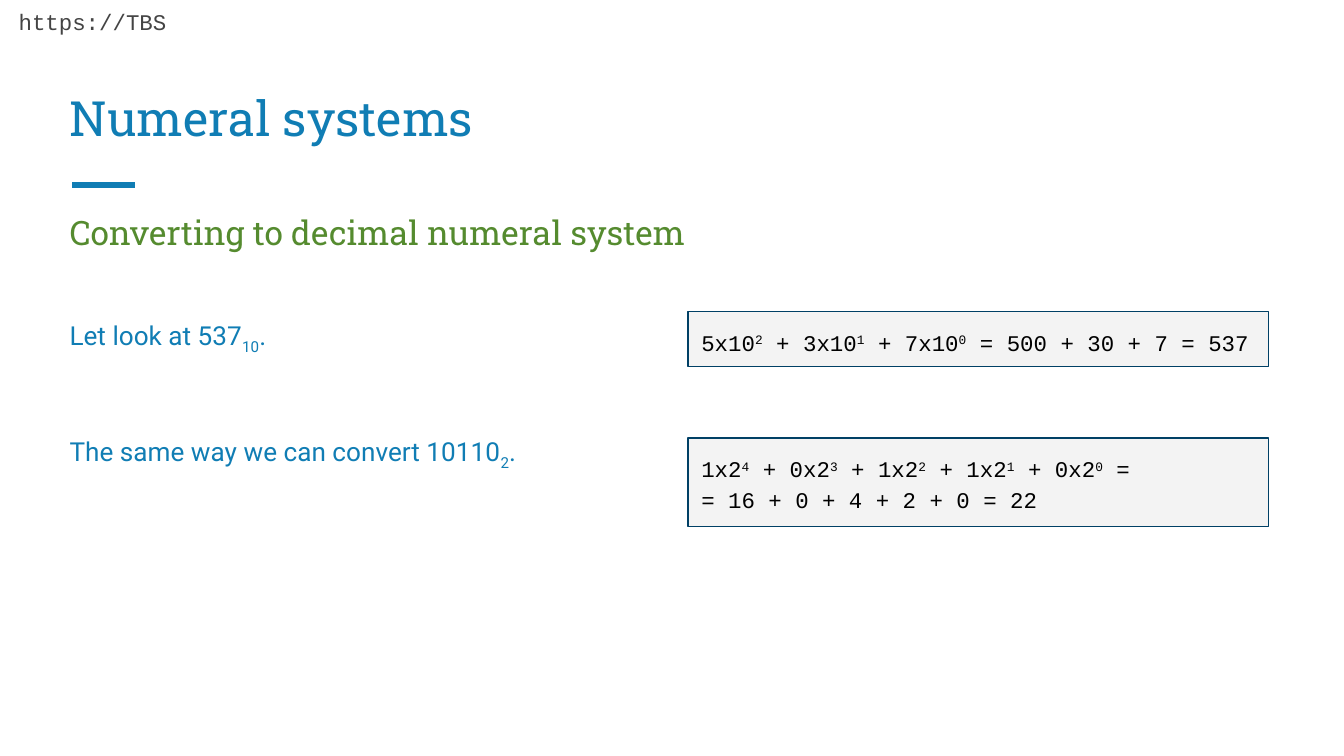
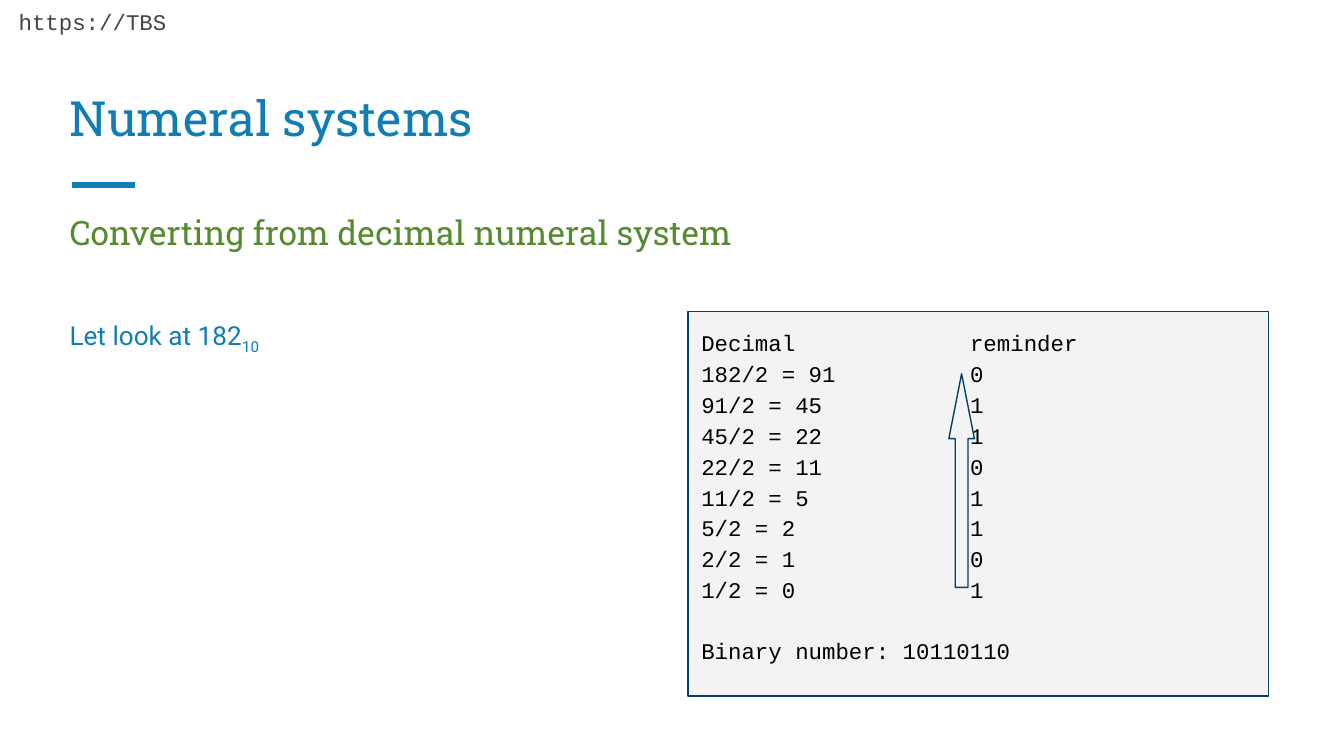
import pptx
import pptx.util
import pptx.dml.color
import pptx.enum.shapes
import pptx.enum.text
import pptx.oxml.ns
import lxml.etree

Pt = pptx.util.Pt
SHAPES = pptx.enum.shapes.MSO_SHAPE
ANCHOR = pptx.enum.text.MSO_ANCHOR
ALIGN = pptx.enum.text.PP_ALIGN
HUES = {
    "blue": "107DB4",
    "green": "558B2F",
    "gray": "444444",
    "black": "000000",
    "panel": "F3F3F3",
    "edge": "004065",
}
SLAB, SANS, MONO = "Roboto Slab", "Roboto", "Courier New"
SUPER, SUB = 30, -25
HEAD = (30.2, 31.7, 659, 213)
BODY = (30.2, 161.3, 316, 211.7)
LEFT, WIDTH = 368.6, 311
SUM_ONE = (LEFT, 167, WIDTH, 29.5)
SUM_TWO = (LEFT, 234.7, WIDTH, 47.5)
TALLY = (LEFT, 167, WIDTH, 206)


def hue(name):
    """Return the named colour."""
    return pptx.dml.color.RGBColor.from_string(HUES[name])


def add_tab(para, stop):
    """Set one left tab stop on a paragraph."""
    props = para._p.get_or_add_pPr()
    tabs = lxml.etree.SubElement(props, pptx.oxml.ns.qn("a:tabLst"))
    lxml.etree.SubElement(tabs, pptx.oxml.ns.qn("a:tab"), pos=str(Pt(stop)), algn="l")


def write(shape, lines, font=MONO, size=12, color="black", shift=SUPER,
          space=1.0, gap=0, tab=None, anchor=ANCHOR.TOP):
    """Fill a shape with lines; bars enclose shifted parts, gap precedes the last line."""
    frame = shape.text_frame
    frame.word_wrap = True
    frame.vertical_anchor = anchor
    frame.margin_left = frame.margin_right = Pt(7.2)
    frame.margin_top = frame.margin_bottom = Pt(7.2)
    for row, line in enumerate(lines):
        para = frame.add_paragraph() if row else frame.paragraphs[0]
        para.alignment = ALIGN.LEFT
        para.line_spacing = space
        if gap and row == len(lines) - 1:
            para.space_before = Pt(gap)
        if tab:
            add_tab(para, tab)
        for part, text in enumerate(line.split("|")):
            if not text:
                continue
            run = para.add_run()
            run.text = text
            run.font.name = font
            run.font.size = Pt(size)
            run.font.color.rgb = hue(color)
            if part % 2:
                run.font._element.set("baseline", str(shift * 1000))


def add_text(slide, box, lines, **style):
    """Add a text box with formatted lines."""
    write(slide.shapes.add_textbox(*map(Pt, box)), lines, **style)


def add_form(slide, kind, box):
    """Add a pale shape with a dark edge."""
    form = slide.shapes.add_shape(kind, *map(Pt, box))
    form.shadow.inherit = False
    form.fill.solid()
    form.fill.fore_color.rgb = hue("panel")
    form.line.color.rgb = hue("edge")
    form.line.width = Pt(0.75)
    return form


def add_rule(slide, left, top, width):
    """Add the thick blue rule below the title."""
    rule = slide.shapes.add_connector(
        pptx.enum.shapes.MSO_CONNECTOR.STRAIGHT,
        Pt(left), Pt(top), Pt(left + width), Pt(top))
    rule.line.color.rgb = hue("blue")
    rule.line.width = Pt(3)
    props = rule._element.spPr
    lxml.etree.SubElement(props, pptx.oxml.ns.qn("a:effectLst"))


def add_head(slide, box, topic):
    """Add the address, title, rule and topic line."""
    left, top, width, _ = box
    add_text(slide, (left - 27.3, top - 34.6, 219, 27.4), ["https://TBS"], color="gray")
    add_rule(slide, left + 8.5, top + 67.5, 33.5)
    add_text(slide, (left, top, width, 54), ["Numeral systems"],
             font=SLAB, size=26, color="blue", anchor=ANCHOR.BOTTOM)
    add_text(slide, (left, top + 74.9, width, 36), [topic],
             font=SLAB, size=18, color="green")


def add_body(slide, box, lines):
    """Add the blue text on the left."""
    add_text(slide, box, lines, font=SANS, size=14, color="blue",
             shift=SUB, space=1.15, gap=40 if len(lines) > 1 else 0)


def add_panel(slide, box, lines, **style):
    """Add a framed panel of code text."""
    write(add_form(slide, SHAPES.RECTANGLE, box), lines, space=1.15, **style)


def add_tally(slide, box, number):
    """Add the halving steps of a number, with an arrow up the digits."""
    lines, bits = ["Decimal\treminder"], ""
    while number:
        half, bit = divmod(number, 2)
        lines.append(f"{number}/2 = {half}\t{bit}")
        bits = str(bit) + bits
        number = half
    lines.append(f"Binary number: {bits}")
    add_panel(slide, box, lines, gap=16, tab=144)
    left, top, _, _ = box
    arrow = add_form(slide, SHAPES.RIGHT_ARROW, (left + 89.3, top + 83.6, 114.5, 13.7))
    arrow.adjustments[0] = 0.5
    arrow.adjustments[1] = 2.54
    arrow.rotation = 270


def to_slide(slide):
    """Build the slide on converting to decimal."""
    add_head(slide, HEAD, "Converting to decimal numeral system")
    add_body(slide, BODY, ["Let look at 537|10|.",
                           "The same way we can convert 10110|2|."])
    add_panel(slide, SUM_ONE, ["5x10|2| + 3x10|1| + 7x10|0| = 500 + 30 + 7 = 537"])
    add_panel(slide, SUM_TWO, ["1x2|4| + 0x2|3| + 1x2|2| + 1x2|1| + 0x2|0| =",
                               "= 16 + 0 + 4 + 2 + 0 = 22"])


def from_slide(slide):
    """Build the slide on converting from decimal."""
    add_head(slide, HEAD, "Converting from decimal numeral system")
    add_body(slide, BODY, ["Let look at 182|10|"])
    add_tally(slide, TALLY, 182)


def main():
    """Build and save the deck."""
    deck = pptx.Presentation()
    deck.slide_width, deck.slide_height = Pt(720), Pt(405)
    for build in (to_slide, from_slide):
        build(deck.slides.add_slide(deck.slide_layouts[6]))
    deck.save("out.pptx")


if __name__ == "__main__":
    main()
